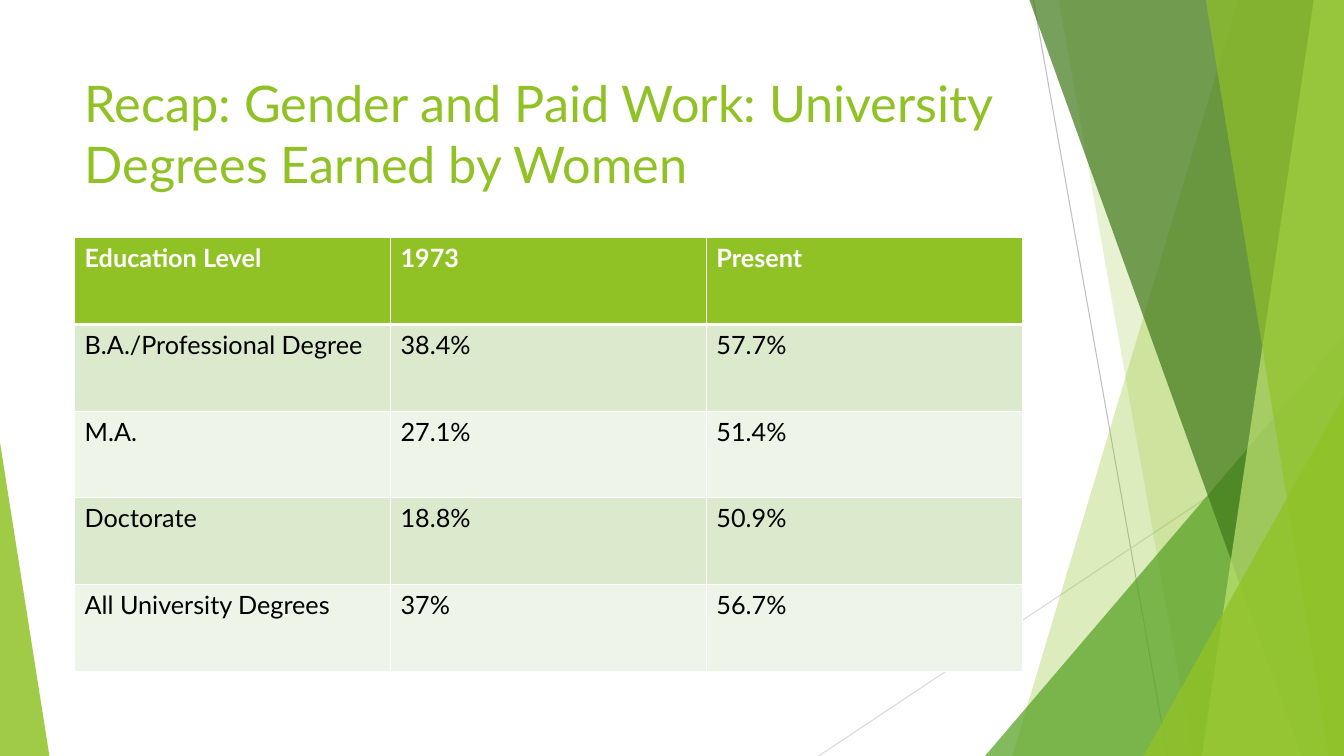
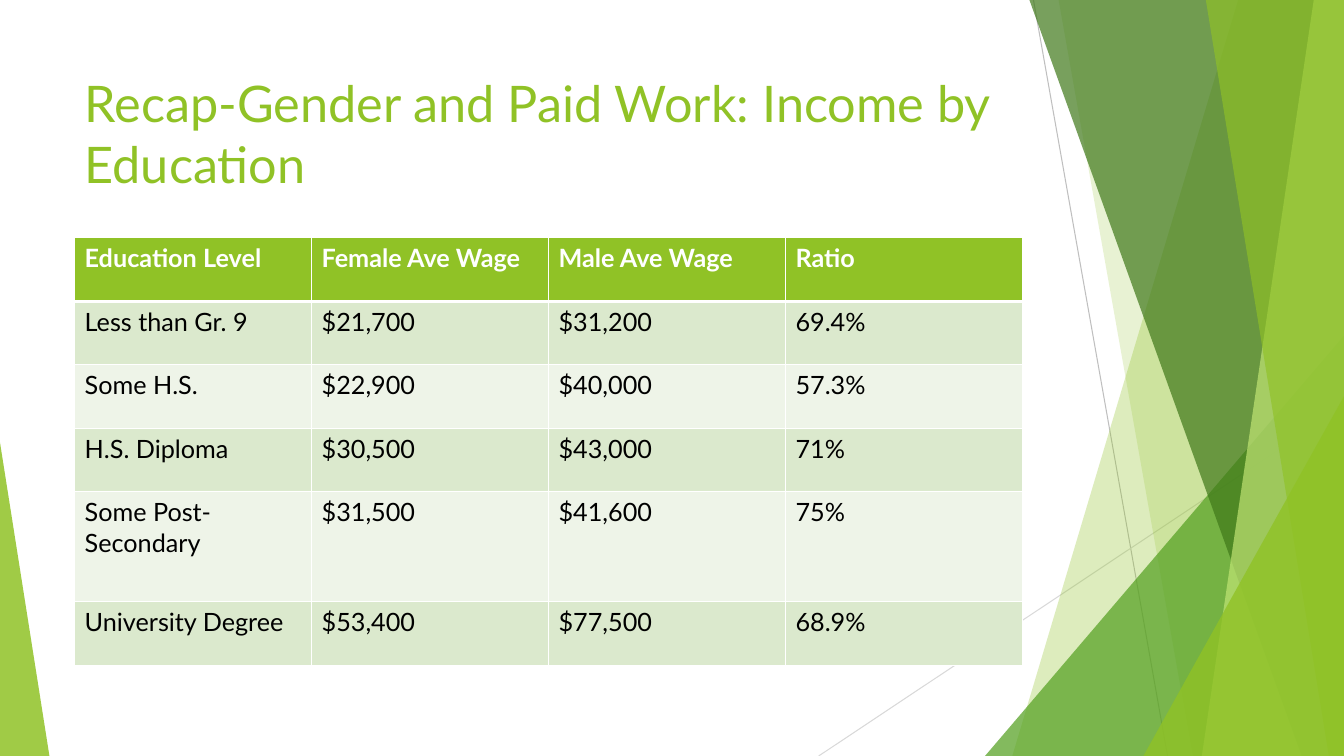
from lxml.etree import SubElement
from pptx import Presentation
from pptx.dml.color import RGBColor
from pptx.enum.shapes import MSO_CONNECTOR, MSO_SHAPE
from pptx.enum.text import MSO_ANCHOR, PP_ALIGN
from pptx.oxml.ns import qn
from pptx.util import Inches, Pt

COLORS = {
    "lime": "90C226",
    "green": "54A021",
    "forest": "3F7819",
    "pale_lime": "C0E474",
    "line_dark": "BFBFBF",
    "line_light": "D9D9D9",
    "band_odd": "DBE9CD",
    "band_even": "EEF4E8",
    "white": "FFFFFF",
    "black": "000000",
}
FONT = "Lato"
SLIDE_WIDTH, SLIDE_HEIGHT = 13.33, 7.5

# Boxes: left, top, width, height in inches
FACET_BOX = (8.12, 0, 5.21, SLIDE_HEIGHT)
WEDGE_BOX = (0, 4.39, 0.49, 3.11)
TITLE_BOX = (0.74, 0.67, 9.4, 1.44)
TABLE_LEFT, TABLE_TOP, TABLE_WIDTH = 0.74, 2.36, 9.4

DEGREE_ROWS = [
    ("Education Level", "1973", "Present"),
    ("B.A./Professional Degree", "38.4%", "57.7%"),
    ("M.A.", "27.1%", "51.4%"),
    ("Doctorate", "18.8%", "50.9%"),
    ("All University Degrees", "37%", "56.7%"),
]
INCOME_ROWS = [
    ("Education Level", "Female Ave Wage", "Male Ave Wage", "Ratio"),
    ("Less than Gr. 9", "$21,700", "$31,200", "69.4%"),
    ("Some H.S.", "$22,900", "$40,000", "57.3%"),
    ("H.S. Diploma", "$30,500", "$43,000", "71%"),
    ("Some Post-Secondary", "$31,500", "$41,600", "75%"),
    ("University Degree", "$53,400", "$77,500", "68.9%"),
]


def rgb(name):
    return RGBColor.from_string(COLORS[name])


def paint(shape, color, opacity):
    """Fill a shape with a see-through colour and no outline."""
    shape.shadow.inherit = False
    shape.fill.solid()
    shape.fill.fore_color.rgb = rgb(color)
    color_element = shape.fill._xPr.find(qn("a:solidFill"))[0]
    SubElement(color_element, qn("a:alpha"), val=str(opacity * 1000))
    shape.line.fill.background()


def add_line(slide, start, end, color):
    points = [Inches(value) for value in (*start, *end)]
    connector = slide.shapes.add_connector(MSO_CONNECTOR.STRAIGHT, *points)
    connector.line.color.rgb = rgb(color)
    connector.line.width = Pt(0.75)
    SubElement(connector._element.spPr, qn("a:effectLst"))


def add_triangle(slide, box, apex, color, opacity):
    lengths = [Inches(value) for value in box]
    triangle = slide.shapes.add_shape(MSO_SHAPE.ISOSCELES_TRIANGLE, *lengths)
    triangle.adjustments[0] = apex
    paint(triangle, color, opacity)


def add_facets(slide, box):
    """Overlapping facets that share the right edge of the box."""
    left, top, width, height = box
    right, bottom = left + width, top + height

    def add_facet(top_offset, bottom_offset, color, opacity):
        corners = [(left + top_offset, top), (right, top),
                   (right, bottom), (left + bottom_offset, bottom)]
        points = [(Inches(x), Inches(y)) for x, y in corners]
        builder = slide.shapes.build_freeform(*points[0])
        builder.add_line_segments(points[1:], close=True)
        paint(builder.convert_to_shape(), color, opacity)

    def add_corner(offset, corner_height, color, opacity):
        corner_box = (left + offset, bottom - corner_height, width - offset, corner_height)
        add_triangle(slide, corner_box, 1, color, opacity)

    add_line(slide, (left + 2.13, top), (left + 3.46, bottom), "line_dark")
    add_line(slide, (right, top + 4.03), (left, bottom), "line_light")
    add_facet(4.16, 1.92, "lime", 30)
    add_facet(2.38, 3.71, "lime", 20)
    add_corner(1.65, 4.17, "green", 72)
    add_facet(2.09, 4.79, "forest", 70)
    add_facet(4.91, 3.8, "pale_lime", 70)
    add_facet(3.84, 5.06, "lime", 65)
    add_corner(3.22, 3.57, "lime", 80)


def set_title(slide, text, box):
    title = slide.shapes.title
    title.left, title.top, title.width, title.height = [Inches(value) for value in box]
    frame = title.text_frame
    frame.text = text
    frame.word_wrap = True
    frame.vertical_anchor = MSO_ANCHOR.TOP
    paragraph = frame.paragraphs[0]
    paragraph.alignment = PP_ALIGN.LEFT
    paragraph.font.name = FONT
    paragraph.font.size = Pt(36)
    paragraph.font.color.rgb = rgb("lime")


def set_borders(cell, top_width, bottom_width):
    properties = cell._tc.get_or_add_tcPr()
    for side, width in (("L", 1), ("R", 1), ("T", top_width), ("B", bottom_width)):
        border = SubElement(properties, qn(f"a:ln{side}"), w=str(Pt(width)))
        fill = SubElement(border, qn("a:solidFill"))
        SubElement(fill, qn("a:srgbClr"), val=COLORS["white"])


def format_cell(cell, text, row):
    header = row == 0
    set_borders(cell, 3 if row == 1 else 1, 3 if header else 1)
    cell.fill.solid()
    band = "band_odd" if row % 2 else "band_even"
    cell.fill.fore_color.rgb = rgb("lime" if header else band)
    cell.text = text
    font = cell.text_frame.paragraphs[0].font
    font.name = FONT
    font.size = Pt(18)
    font.bold = header
    font.color.rgb = rgb("white" if header else "black")


def add_data_table(slide, rows, heights, left, top, width):
    column_count = len(rows[0])
    table = slide.shapes.add_table(
        len(rows), column_count, Inches(left), Inches(top),
        Inches(width), Inches(sum(heights))).table
    table.horz_banding = False
    for column in table.columns:
        column.width = Inches(width / column_count)
    for row, (texts, height) in enumerate(zip(rows, heights)):
        table.rows[row].height = Inches(height)
        for column, text in enumerate(texts):
            format_cell(table.cell(row, column), text, row)


def add_table_slide(presentation, title, rows, heights):
    slide = presentation.slides.add_slide(presentation.slide_layouts[5])
    add_facets(slide, FACET_BOX)
    add_triangle(slide, WEDGE_BOX, 0, "lime", 85)
    set_title(slide, title, TITLE_BOX)
    add_data_table(slide, rows, heights, TABLE_LEFT, TABLE_TOP, TABLE_WIDTH)


def main():
    presentation = Presentation()
    presentation.slide_width = Inches(SLIDE_WIDTH)
    presentation.slide_height = Inches(SLIDE_HEIGHT)
    add_table_slide(
        presentation,
        "Recap: Gender and Paid Work: University Degrees Earned by Women",
        DEGREE_ROWS, [0.86] * 5)
    add_table_slide(
        presentation,
        "Recap-Gender and Paid Work: Income by Education",
        INCOME_ROWS, [0.63] * 4 + [1.09, 0.63])
    presentation.save("out.pptx")


if __name__ == "__main__":
    main()
